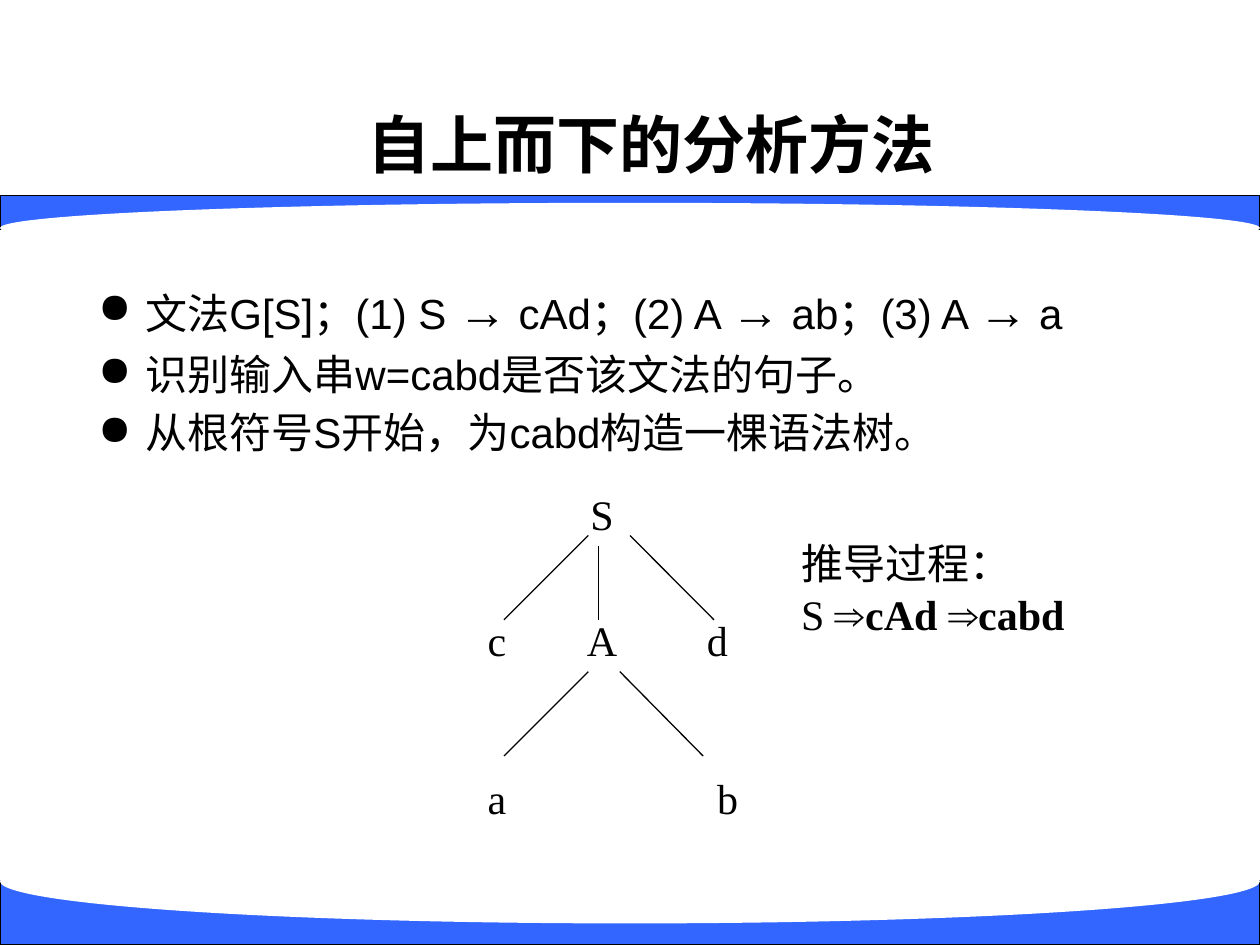
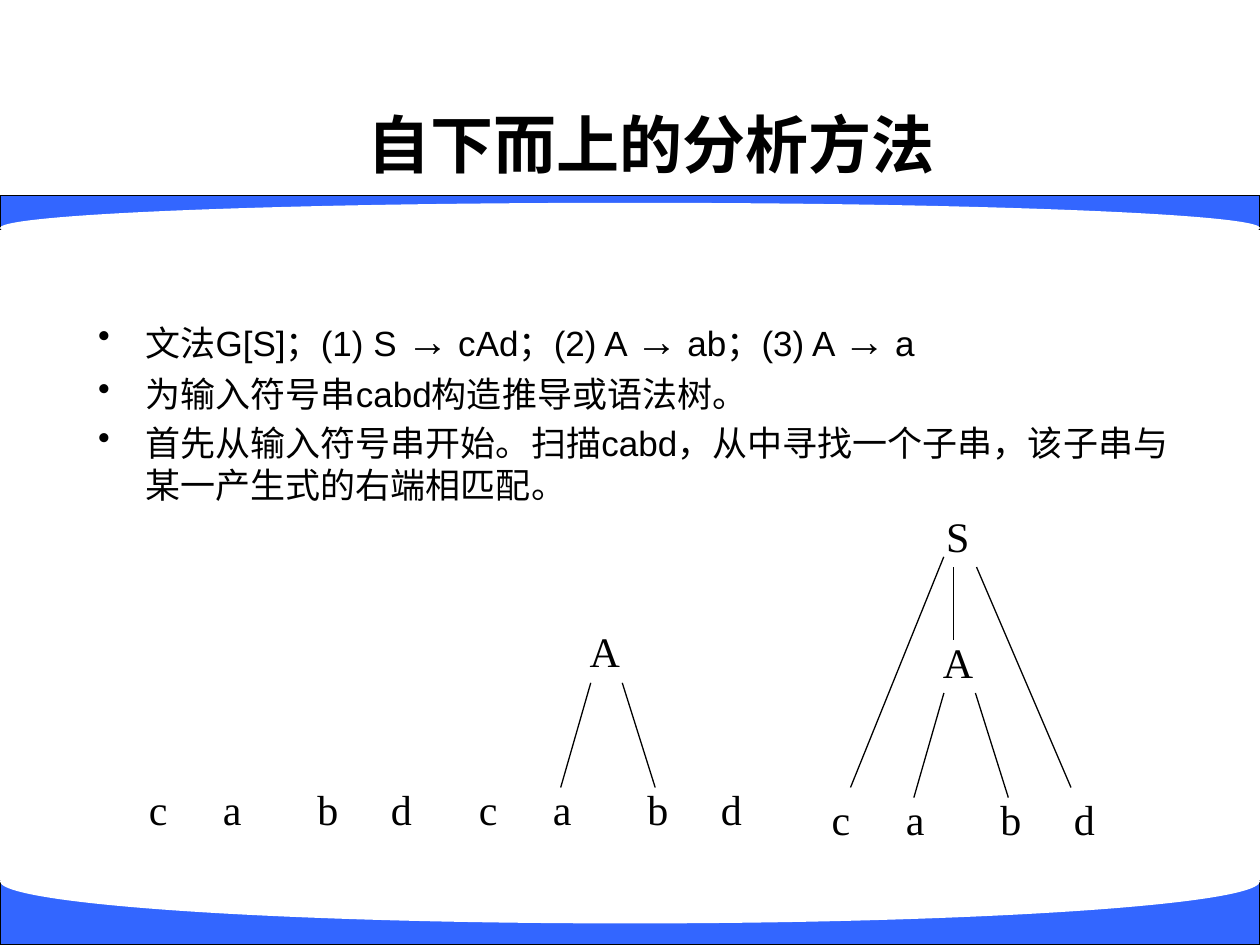
"""Build two slides on top-down and bottom-up parsing."""
from dataclasses import dataclass

from lxml import etree
from pptx import Presentation
from pptx.dml.color import RGBColor
from pptx.enum.shapes import MSO_CONNECTOR, MSO_SHAPE
from pptx.enum.text import MSO_ANCHOR, MSO_AUTO_SIZE, PP_ALIGN
from pptx.oxml.ns import qn
from pptx.slide import Slide
from pptx.text.text import TextFrame, _Paragraph
from pptx.util import Pt

RECT, OVAL = MSO_SHAPE.RECTANGLE, MSO_SHAPE.OVAL
LINE = MSO_CONNECTOR.STRAIGHT
MID, TOP = MSO_ANCHOR.MIDDLE, MSO_ANCHOR.TOP
LEFT, MIDDLE = PP_ALIGN.LEFT, PP_ALIGN.CENTER
GROW, FIXED = MSO_AUTO_SIZE.SHAPE_TO_FIT_TEXT, MSO_AUTO_SIZE.NONE

COLORS = {"blue": "3366FF", "white": "FFFFFF", "ink": "000000"}
TITLE = {"name": "Arial", "size": Pt(36), "bold": True}
SERIF = {"name": "Times New Roman", "size": Pt(24), "bold": False}
STRONG = {**SERIF, "bold": True}
WIDE, TALL = 720, 540
HANG = 27
NODE = 36
WIDTHS = {"S": 28, "A": 31.7, "a": 25.2, "c": 25.2, "b": 26.6, "d": 26.6}
STEPS = (0, 42.3, 97, 139)
RULES = "文法G[S]；(1) S → cAd；(2) A → ab；(3) A → a"


@dataclass(frozen=True)
class Band:
    """Hold a blue bar and the white oval that cuts it."""
    top: float
    high: float
    cut: float
    deep: float


@dataclass(frozen=True)
class Node:
    """Hold a tree symbol, its centre x and its top."""
    sign: str
    x: float
    y: float


@dataclass(frozen=True)
class Edge:
    """Hold the two ends of a tree branch."""
    x1: float
    y1: float
    x2: float
    y2: float


@dataclass(frozen=True)
class Page:
    """Hold the words and the tree of a slide."""
    title: str
    top: float
    size: int
    mark: str
    points: tuple[str, ...]
    nodes: tuple[Node, ...]
    edges: tuple[Edge, ...]


def leaves(x: float, y: float) -> tuple[Node, ...]:
    """Place the input string as a row of leaves."""
    return tuple(Node(sign, x + step, y) for sign, step in zip("cabd", STEPS))


def fork(x: float, y: float) -> tuple[Edge, ...]:
    """Join a node A to its leaves a and b."""
    low, end = y + NODE, y + 95.8
    return Edge(x - 8, low, x - 25.2, end), Edge(x + 10, low, x + 28.8, end)


BANDS = (Band(111.6, 19.4, 115.9, 28.8), Band(503.3, 36.7, 479.5, 48.2))
PAGES = (
    Page(
        "自上而下的分析方法", 157, 24, "●",
        (RULES, "识别输入串w=cabd是否该文法的句子。",
         "从根符号S开始，为cabd构造一棵语法树。"),
        (Node("S", 344, 275.8), Node("c", 284, 347.8), Node("A", 344, 347.8),
         Node("d", 410, 347.8), Node("a", 284, 437.8), Node("b", 415.8, 437.8)),
        (Edge(336.2, 306, 288, 354.2), Edge(336.2, 383.8, 288, 432),
         Edge(360, 306, 408, 354.2), Edge(354.2, 383.8, 401.8, 432),
         Edge(342, 311.8, 342, 354.2)),
    ),
    Page(
        "自下而上的分析方法", 176.4, 20, "•",
        (RULES, "为输入符号串cabd构造推导或语法树。",
         "首先从输入符号串开始。扫描cabd，从中寻找一个子串，"
         "该子串与某一产生式的右端相匹配。"),
        (Node("S", 547.4, 288), Node("A", 547.4, 360), Node("A", 345.6, 354.2),
         *leaves(90.4, 444.2), *leaves(279, 444.2), *leaves(480.6, 450)),
        (Edge(539.3, 318.2, 486, 450), Edge(558, 324, 612, 450),
         Edge(545, 324, 545, 365.8), *fork(547.4, 360), *fork(345.6, 354.2)),
    ),
)


def tint(name: str) -> RGBColor:
    """Give the named colour."""
    return RGBColor.from_string(COLORS[name])


def put(para: _Paragraph, text: str, style: dict) -> None:
    """Add a run in the given style."""
    run = para.add_run()
    run.text = text
    for key, value in style.items():
        setattr(run.font, key, value)
    run.font.color.rgb = tint("ink")


def box(slide: Slide, x: float, y: float, w: float, h: float, wrap: bool = True,
        anchor: MSO_ANCHOR = TOP, grow: MSO_AUTO_SIZE = FIXED) -> TextFrame:
    """Add an empty text box."""
    frame = slide.shapes.add_textbox(Pt(x), Pt(y), Pt(w), Pt(h)).text_frame
    form = {"word_wrap": wrap, "vertical_anchor": anchor, "auto_size": grow}
    for key, value in form.items():
        setattr(frame, key, value)
    return frame


def block(slide: Slide, kind: MSO_SHAPE, y: float, h: float, fill: str, edge: bool) -> None:
    """Draw a plain shape across the slide."""
    shape = slide.shapes.add_shape(kind, 0, Pt(y), Pt(WIDE), Pt(h))
    shape.shadow.inherit = False
    shape.fill.solid()
    shape.fill.fore_color.rgb = tint(fill)
    if edge:
        shape.line.color.rgb = tint("ink")
        shape.line.width = Pt(0.75)
    else:
        shape.line.fill.background()


def frame(slide: Slide, title: str) -> None:
    """Draw the bands and the title."""
    for band in BANDS:
        block(slide, RECT, band.top, band.high, "blue", True)
        block(slide, OVAL, band.cut, band.deep, "white", False)
    para = box(slide, 66.2, 49, 612, 66.2, anchor=MID).paragraphs[0]
    para.alignment = MIDDLE
    put(para, title, TITLE)


def bullet(para: _Paragraph, mark: str) -> None:
    """Give a paragraph a hanging bullet."""
    props = para._p.get_or_add_pPr()
    props.set("marL", str(Pt(HANG)))
    props.set("indent", str(-Pt(HANG)))
    etree.SubElement(props, qn("a:buChar")).set("char", mark)


def body(slide: Slide, page: Page) -> None:
    """Write the bullet list, with larger arrows."""
    words = box(slide, 49, page.top, 635, 103)
    plain = {"name": "Arial", "size": Pt(page.size)}
    large = {**plain, "size": Pt(page.size + 4)}
    for i, point in enumerate(page.points):
        para = words.add_paragraph() if i else words.paragraphs[0]
        bullet(para, page.mark)
        para.alignment = LEFT
        if i:
            para.space_before = Pt(page.size * 0.2)
        for j, part in enumerate(point.split("→")):
            if j:
                put(para, "→", large)
            put(para, part, plain)


def tree(slide: Slide, page: Page) -> None:
    """Draw the symbols and branches."""
    for node in page.nodes:
        w = WIDTHS[node.sign]
        para = box(slide, node.x - w / 2, node.y, w, NODE, False, grow=GROW).paragraphs[0]
        para.alignment = MIDDLE
        put(para, node.sign, SERIF)
    for edge in page.edges:
        line = slide.shapes.add_connector(
            LINE, Pt(edge.x1), Pt(edge.y1), Pt(edge.x2), Pt(edge.y2))
        line.line.color.rgb = tint("ink")
        line.line.width = Pt(0.75)
        etree.SubElement(line._element.spPr, qn("a:effectLst"))


def proof(slide: Slide) -> None:
    """Write the derivation beside the tree."""
    words = box(slide, 450.7, 303.8, 208.8, 64.8, grow=GROW)
    put(words.paragraphs[0], "推导过程：", SERIF)
    para = words.add_paragraph()
    put(para, "S ", SERIF)
    put(para, "⇒cAd ⇒cabd", STRONG)


def main() -> None:
    """Build and save the deck."""
    deck = Presentation()
    deck.slide_width, deck.slide_height = Pt(WIDE), Pt(TALL)
    for page in PAGES:
        slide = deck.slides.add_slide(deck.slide_layouts[6])
        frame(slide, page.title)
        body(slide, page)
        tree(slide, page)
    proof(deck.slides[0])
    deck.save("out.pptx")


if __name__ == "__main__":
    main()
